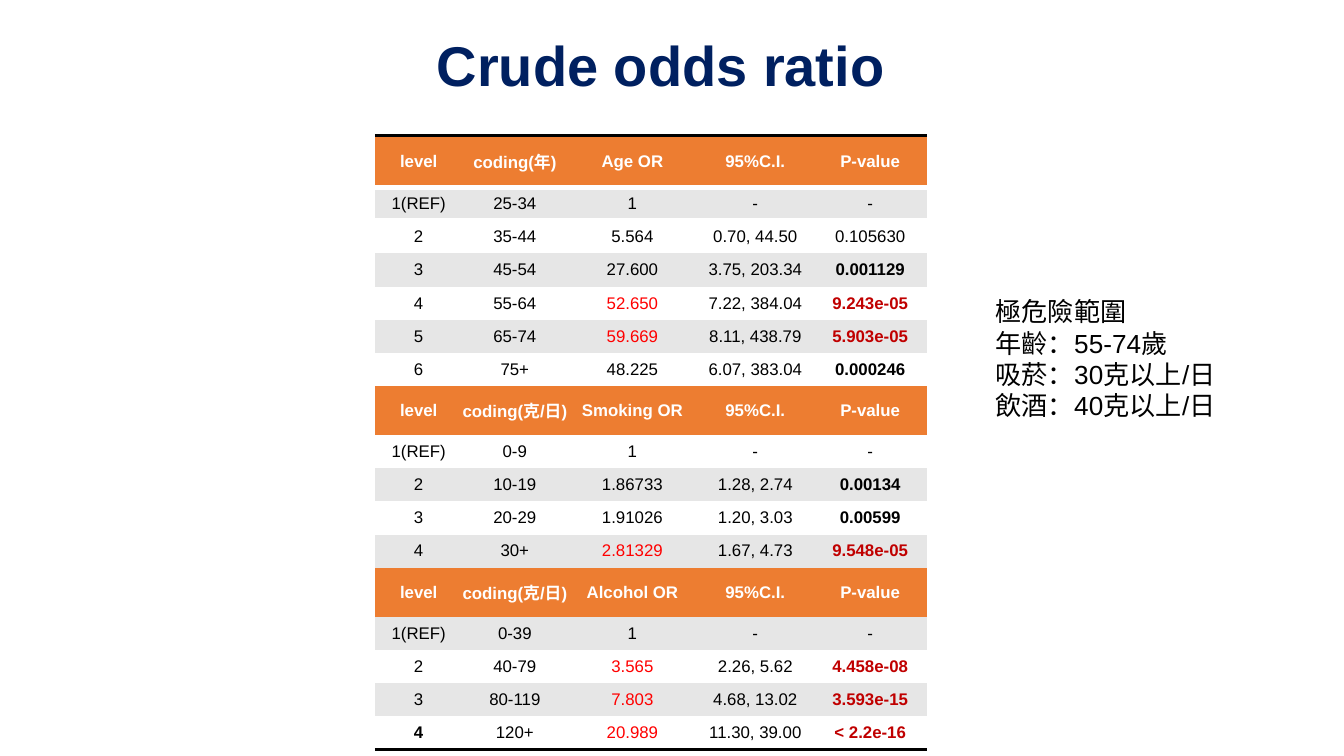
from lxml.etree import SubElement
from pptx import Presentation
from pptx.dml.color import RGBColor
from pptx.enum.text import MSO_ANCHOR as Anchor, MSO_AUTO_SIZE as AutoSize, PP_ALIGN as Align
from pptx.oxml.ns import qn
from pptx.util import Pt

BLACK = RGBColor(0x00, 0x00, 0x00)
WHITE = RGBColor(0xFF, 0xFF, 0xFF)
GREY = RGBColor(0xE6, 0xE6, 0xE6)
ORANGE = RGBColor(0xED, 0x7D, 0x31)
NAVY = RGBColor(0x00, 0x20, 0x60)
RED = RGBColor(0xFF, 0x00, 0x00)
DARK_RED = RGBColor(0xC0, 0x00, 0x00)

NO_TABLE_STYLE = "{2D5ABB26-0587-4C30-8999-92F81FD0307C}"
LEVEL, CODING, ODDS, INTERVAL, P_VALUE = range(5)
COLUMN_WIDTHS = [46.8, 56.2, 69.8, 61.9, 61.2]
ROW_HEIGHT = 17.8

FACTORS = [
    ("coding(年) ", "Age OR", [
        ("25-34", "1", "-", "-"),
        ("35-44", "5.564", "0.70, 44.50", "0.105630"),
        ("45-54", "27.600", "3.75, 203.34", "0.001129"),
        ("55-64", "52.650", "7.22, 384.04", "9.243e-05"),
        ("65-74", "59.669", "8.11, 438.79", "5.903e-05"),
        ("75+", "48.225", "6.07, 383.04", "0.000246"),
    ]),
    ("coding(克/日) ", "Smoking OR", [
        ("0-9", "1", "-", "-"),
        ("10-19", "1.86733", "1.28, 2.74", "0.00134"),
        ("20-29", "1.91026", "1.20, 3.03", "0.00599"),
        ("30+", "2.81329", "1.67, 4.73", "9.548e-05"),
    ]),
    ("coding(克/日) ", "Alcohol OR", [
        ("0-39", "1", "-", "-"),
        ("40-79", "3.565", "2.26, 5.62", "4.458e-08"),
        ("80-119", "7.803", "4.68, 13.02", "3.593e-15"),
        ("120+", "20.989", "11.30, 39.00", "< 2.2e-16"),
    ]),
]
RISK_LINES = ["極危險範圍", "年齡：55-74歲", "吸菸：30克以上/日", "飲酒：40克以上/日"]


def apply_format(target, values):
    """Set each attribute named in values on the target."""
    for name, value in values.items():
        setattr(target, name, value)


def margins(horizontal, vertical):
    """Return the four margins as a dict of format values."""
    return {"margin_left": Pt(horizontal), "margin_right": Pt(horizontal),
            "margin_top": Pt(vertical), "margin_bottom": Pt(vertical)}


def table_rows():
    """Return the header flag and the texts of every row."""
    rows = []
    for coding, odds, levels in FACTORS:
        rows.append((True, ("level", coding, odds, "95%C.I.", "P-value")))
        for number, values in enumerate(levels, 1):
            rows.append((False, ("1(REF)" if number == 1 else str(number), *values)))
    return rows


class SlideBuilder:
    """Hold the text style and the current slide."""

    font_name = "Arial"

    def __init__(self, presentation):
        """Add a title-only slide."""
        self.slide = presentation.slides.add_slide(presentation.slide_layouts[5])

    def add_text(self, paragraph, text, size, color=BLACK, bold=False):
        """Put one styled run in a paragraph."""
        run = paragraph.add_run()
        run.text = text
        apply_format(run.font, {"name": self.font_name, "size": Pt(size), "bold": bold})
        run.font.color.rgb = color

    def title(self, text, left, top, width, height):
        """Place and fill the title placeholder."""
        shape = self.slide.shapes.title
        apply_format(shape, {"left": Pt(left), "top": Pt(top),
                             "width": Pt(width), "height": Pt(height)})
        apply_format(shape.text_frame, {"vertical_anchor": Anchor.MIDDLE, "word_wrap": True,
                                        "auto_size": AutoSize.NONE, **margins(5, 2.9)})
        paragraph = shape.text_frame.paragraphs[0]
        apply_format(paragraph, {"alignment": Align.LEFT, "line_spacing": 0.9})
        self.add_text(paragraph, text, 30, NAVY, True)

    def text_box(self, lines, left, top, width, height):
        """Add a text box with one paragraph per line."""
        frame = self.slide.shapes.add_textbox(Pt(left), Pt(top), Pt(width), Pt(height)).text_frame
        apply_format(frame, {"word_wrap": True, **margins(7.2, 7.2)})
        for index, line in enumerate(lines):
            paragraph = frame.add_paragraph() if index else frame.paragraphs[0]
            self.add_text(paragraph, line, 14)

    def border(self, cell, side, color, width):
        """Draw one side of a cell."""
        line = SubElement(cell._tc.get_or_add_tcPr(), qn(f"a:ln{side}"), w=str(Pt(width)))
        SubElement(SubElement(line, qn("a:solidFill")), qn("a:srgbClr"), val=str(color))

    def cell(self, cell, text, fill, color, bold, inset):
        """Fill a table cell with centred text."""
        apply_format(cell, {"vertical_anchor": Anchor.MIDDLE, **inset})
        cell.fill.solid()
        cell.fill.fore_color.rgb = fill
        paragraph = cell.text_frame.paragraphs[0]
        paragraph.alignment = Align.CENTER
        self.add_text(paragraph, text, 9, color, bold)

    def odds_table(self, rows, left, top):
        """Add the table of odds ratios, marking the significant results."""
        last = len(rows) - 1
        borders = {0: [("T", BLACK, 2), ("B", WHITE, 3)], 1: [("T", WHITE, 3)],
                   last: [("B", BLACK, 2)]}
        table = self.slide.shapes.add_table(
            len(rows), len(COLUMN_WIDTHS), Pt(left), Pt(top),
            Pt(sum(COLUMN_WIDTHS)), Pt(ROW_HEIGHT * len(rows))).table
        apply_format(table, {"first_row": False, "horz_banding": False})
        table._tbl.tblPr.find(qn("a:tableStyleId")).text = NO_TABLE_STYLE
        for column, width in zip(table.columns, COLUMN_WIDTHS):
            column.width = Pt(width)
        first_factor_rows = 1 + len(FACTORS[0][2])
        for index, (is_header, texts) in enumerate(rows):
            table.rows[index].height = Pt(ROW_HEIGHT)
            tested = not is_header and texts[P_VALUE] != "-"
            p_value = float(texts[P_VALUE].strip("< ")) if tested else 1
            extreme_colors = {ODDS: RED, P_VALUE: DARK_RED} if p_value < 0.0001 else {}
            fill = ORANGE if is_header else GREY if index % 2 else WHITE
            for column, text in enumerate(texts):
                cell = table.cell(index, column)
                for side, color, width in borders.get(index, []):
                    self.border(cell, side, color, width)
                color = WHITE if is_header else extreme_colors.get(column, BLACK)
                bold = (is_header or (column == P_VALUE and p_value < 0.01)
                        or (column == LEVEL and index == last))
                tight = column == CODING and index >= first_factor_rows
                self.cell(cell, text, fill, color, bold, margins(0, 0) if tight else margins(5.6, 2.2))


def main():
    """Build and save the slide."""
    presentation = Presentation()
    apply_format(presentation, {"slide_width": Pt(720), "slide_height": Pt(405)})
    builder = SlideBuilder(presentation)
    builder.title("Crude odds ratio", 229, 16, 305, 41)
    builder.odds_table(table_rows(), 200.9, 72.7)
    builder.text_box(RISK_LINES, 526.3, 151.2, 182.9, 67.7)
    presentation.save("out.pptx")


if __name__ == "__main__":
    main()
